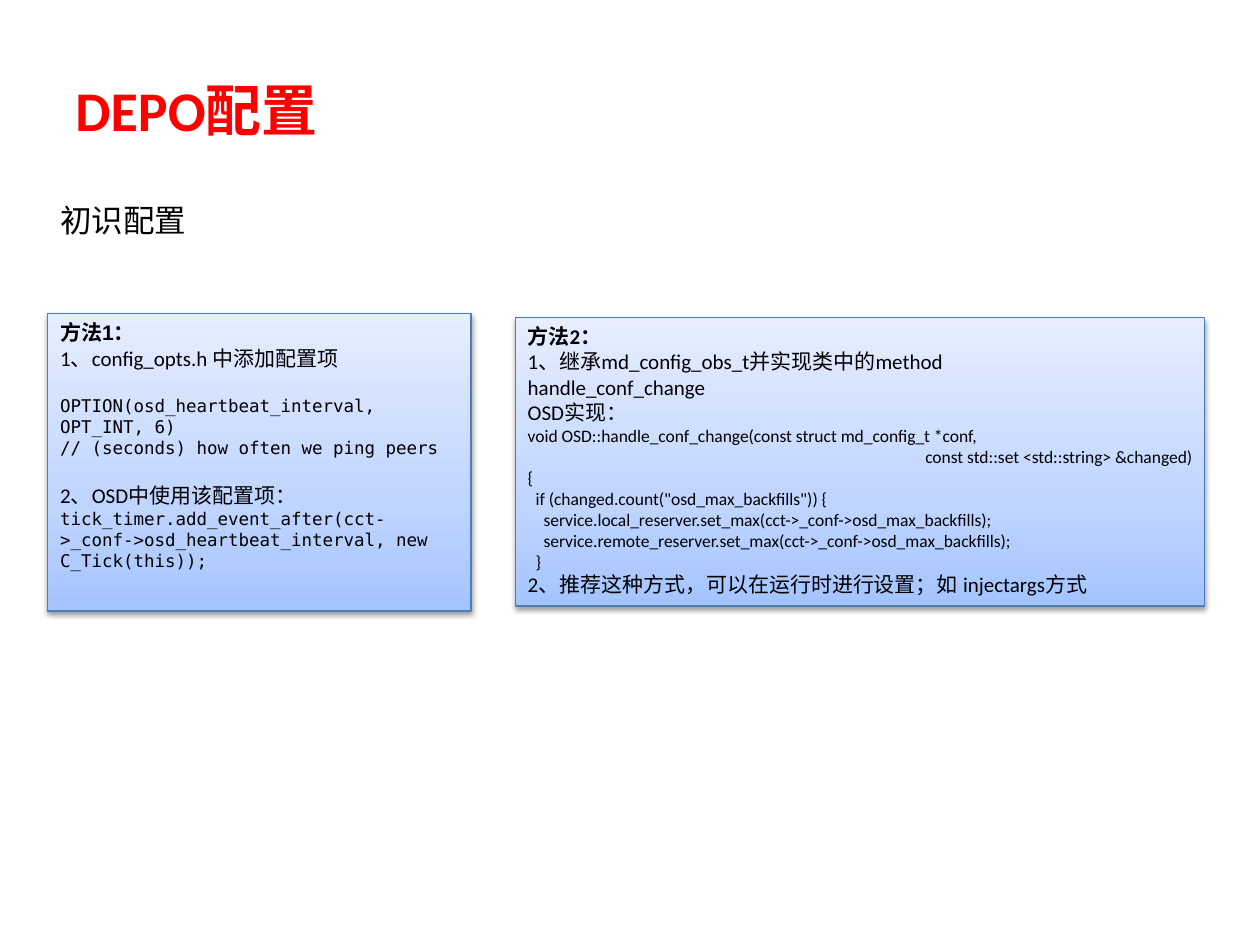
from dataclasses import dataclass
from typing import Any

from lxml import etree
from pptx import Presentation
from pptx import util as u
from pptx.dml.color import RGBColor
from pptx.enum import shapes, text
from pptx.oxml import ns

BLACK = RGBColor(0x00, 0x00, 0x00)
RED = RGBColor(0xFF, 0x00, 0x00)
BORDER = RGBColor(0x4B, 0x7E, 0xBC)
GRADIENT = (
    (0, RGBColor(0xA4, 0xC4, 0xFF)),
    (35, RGBColor(0xBF, 0xD4, 0xFF)),
    (100, RGBColor(0xE6, 0xEE, 0xFF)),
)
BODY, HEADING, MONO = "Calibri", "Arial", "DejaVu Sans Mono"
COLUMNS, ROWS = 100, 75
SPACE_WIDTH = 2.26  # points, one code indent step


@dataclass(frozen=True)
class Box:
    """Position and size in grid columns and rows."""
    column: float
    row: float
    columns: float
    rows: float


@dataclass(frozen=True)
class Line:
    words: str
    size: float = 12
    font: str = BODY
    bold: bool = False
    before: float = 0
    indent: int = 0
    align: Any = text.PP_ALIGN.LEFT


@dataclass(frozen=True)
class Panel:
    box: Box
    lines: tuple[Line, ...]


PANELS = (
    Panel(Box(3.8, 24.9, 33.6, 23.6), (
        Line("方法1：", font=HEADING, bold=True),
        Line("1、config_opts.h 中添加配置项"),
        Line("OPTION(osd_heartbeat_interval, OPT_INT, 6)", 10, MONO, before=14),
        Line("// (seconds) how often we ping peers", 10, MONO),
        Line("2、OSD中使用该配置项：", before=14),
        Line("tick_timer.add_event_after(cct->_conf->osd_heartbeat_interval, "
             "new C_Tick(this));", 10, MONO),
    )),
    Panel(Box(40.9, 25.2, 54.7, 22.9), (
        Line("方法2：", bold=True),
        Line("1、继承md_config_obs_t并实现类中的method"),
        Line("handle_conf_change"),
        Line("OSD实现："),
        Line("void OSD::handle_conf_change(const struct md_config_t *conf,", 10),
        Line("const std::set <std::string> &changed)", 10,
             align=text.PP_ALIGN.RIGHT),
        Line("{", 10),
        Line('if (changed.count("osd_max_backfills")) {', 10, indent=2),
        Line("service.local_reserver.set_max(cct->_conf->osd_max_backfills);",
             10, indent=4),
        Line("service.remote_reserver.set_max(cct->_conf->osd_max_backfills);",
             10, indent=4),
        Line("}", 10, indent=2),
        Line("2、推荐这种方式，可以在运行时进行设置；如 injectargs方式"),
    )),
)

presentation = Presentation()
presentation.slide_width = u.Inches(10)
presentation.slide_height = u.Inches(7.5)
slide = presentation.slides.add_slide(presentation.slide_layouts[6])


def place(box: Box) -> tuple[int, int, int, int]:
    column = presentation.slide_width / COLUMNS
    row = presentation.slide_height / ROWS
    return (round(box.column * column), round(box.row * row),
            round(box.columns * column), round(box.rows * row))


def write(paragraph: Any, words: str, *, size: float, font: str = BODY,
          color: RGBColor = BLACK, bold: bool = False, before: float = 0,
          indent: int = 0, align: Any = text.PP_ALIGN.LEFT) -> None:
    paragraph.alignment = align
    paragraph.space_before = u.Pt(before)
    if indent:
        margin = u.Pt(indent * SPACE_WIDTH)
        paragraph._p.get_or_add_pPr().set("marL", str(int(margin)))
    run = paragraph.add_run()
    run.text = words
    run.font.size = u.Pt(size)
    run.font.name = font
    run.font.bold = bold
    run.font.color.rgb = color


def add_label(box: Box, words: str, **style: Any) -> None:
    frame = slide.shapes.add_textbox(*place(box)).text_frame
    frame.word_wrap = True
    write(frame.paragraphs[0], words, **style)


def add_color(parent: Any, color: RGBColor) -> Any:
    return etree.SubElement(parent, ns.qn("a:srgbClr"), val=str(color))


def fill_gradient(shape: Any) -> None:
    shape.fill.gradient()
    shape.fill.gradient_angle = 90
    stops = shape._element.spPr.find(".//" + ns.qn("a:gsLst"))
    for stop in list(stops):
        stops.remove(stop)
    for percent, color in GRADIENT:
        stop = etree.SubElement(stops, ns.qn("a:gs"), pos=str(percent * 1000))
        add_color(stop, color)


def add_shadow(shape: Any) -> None:
    shape.shadow.inherit = False
    effects = shape._element.spPr.find(ns.qn("a:effectLst"))
    shadow = etree.SubElement(
        effects, ns.qn("a:outerShdw"), blurRad=str(int(u.Pt(3.1))),
        dist=str(int(u.Pt(1.6))), dir="5400000", rotWithShape="0")
    etree.SubElement(add_color(shadow, BLACK), ns.qn("a:alpha"), val="38000")


def add_panel(panel: Panel) -> None:
    shape = slide.shapes.add_shape(shapes.MSO_SHAPE.RECTANGLE, *place(panel.box))
    fill_gradient(shape)
    shape.line.color.rgb = BORDER
    shape.line.width = u.Pt(0.75)
    add_shadow(shape)
    frame = shape.text_frame
    frame.word_wrap = True
    frame.vertical_anchor = text.MSO_ANCHOR.TOP
    for index, line in enumerate(panel.lines):
        paragraph = frame.add_paragraph() if index else frame.paragraphs[0]
        write(paragraph, line.words, size=line.size, font=line.font,
              bold=line.bold, before=line.before, indent=line.indent,
              align=line.align)


# Title
add_label(Box(5, 5.5, 24.1, 6.4), "DEPO配置", size=32, color=RED, bold=True)

# Two configuration methods
for method in PANELS:
    add_panel(method)

# Subtitle
add_label(Box(3.8, 15.5, 28.5, 4), "初识配置", size=18, font=HEADING)

presentation.save("out.pptx")
